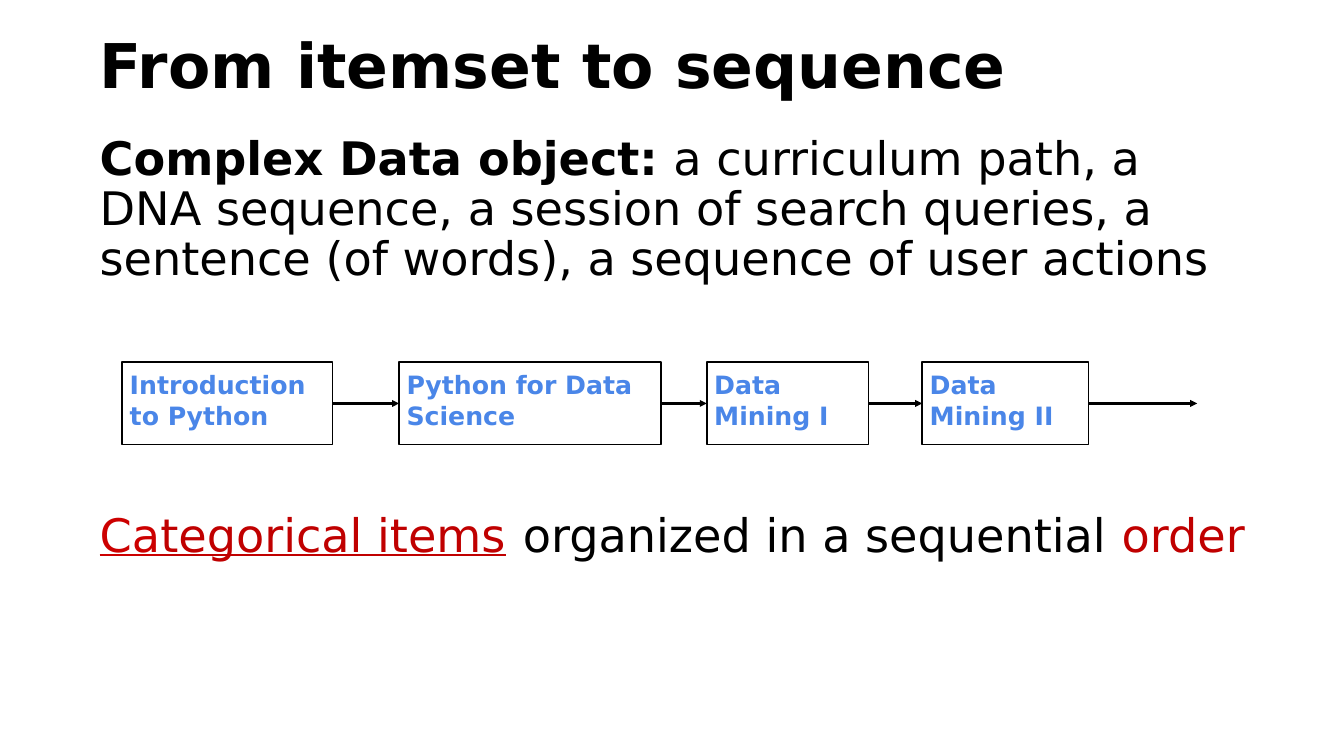
from dataclasses import dataclass

from lxml.etree import SubElement
from pptx import Presentation
from pptx.dml.color import RGBColor
from pptx.enum.shapes import MSO_CONNECTOR, MSO_SHAPE
from pptx.enum.text import MSO_ANCHOR, PP_ALIGN
from pptx.oxml.ns import qn
from pptx.util import Cm, Pt


@dataclass(frozen=True)
class Theme:
    font: str = "DejaVu Sans"
    black: RGBColor = RGBColor(0x00, 0x00, 0x00)
    blue: RGBColor = RGBColor(0x4A, 0x86, 0xE8)
    red: RGBColor = RGBColor(0xC0, 0x00, 0x00)
    bright_red: RGBColor = RGBColor(0xCC, 0x00, 0x00)
    title_size: float = 58.7
    body_size: float = 44
    step_size: float = 24
    box_line: float = 1.5
    arrow_line: float = 2.25
    inset: float = 0.25
    line_spacing: float = 0.9


THEME = Theme()
RIGHT_SIDE, LEFT_SIDE = 3, 1

# Course name, left edge within the chain, width (cm)
COURSES = [
    ("Introduction to Python", 0, 7.06),
    ("Python for Data Science", 9.3, 8.81),
    ("Data Mining I", 19.64, 5.44),
    ("Data Mining II", 26.88, 5.59),
]


def set_frame(frame, vertical_inset=THEME.inset, anchor=MSO_ANCHOR.TOP):
    frame.word_wrap = True
    frame.vertical_anchor = anchor
    frame.margin_left = frame.margin_right = Cm(THEME.inset)
    frame.margin_top = frame.margin_bottom = Cm(vertical_inset)


def add_span(para, text, size, color=THEME.black, bold=False, underline=False):
    span = para.add_run()
    span.text = text
    span.font.name = THEME.font
    span.font.size = Pt(size)
    span.font.color.rgb = color
    span.font.bold = bold
    span.font.underline = underline


def add_text(page, left, top, width, height, **frame_options):
    """Add a text box and return its first paragraph."""
    box = page.shapes.add_textbox(Cm(left), Cm(top), Cm(width), Cm(height))
    set_frame(box.text_frame, **frame_options)
    para = box.text_frame.paragraphs[0]
    para.line_spacing = THEME.line_spacing
    return para


def add_title(page, left, top, width, height):
    para = add_text(page, left, top, width, height,
                    vertical_inset=0.13, anchor=MSO_ANCHOR.MIDDLE)
    add_span(para, "From itemset to sequence", THEME.title_size, bold=True)


def add_definition(page, left, top, width, height):
    para = add_text(page, left, top, width, height, vertical_inset=0.13)
    add_span(para, "Complex Data object:", THEME.body_size, bold=True)
    add_span(para, " a curriculum path, a DNA sequence, a session of search queries, "
                   "a sentence (of words), a sequence of user actions", THEME.body_size)


def add_course(page, name, left, top, width, height):
    box = page.shapes.add_shape(MSO_SHAPE.RECTANGLE, Cm(left), Cm(top), Cm(width), Cm(height))
    box.shadow.inherit = False
    box.fill.background()
    box.line.color.rgb = THEME.black
    box.line.width = Pt(THEME.box_line)
    set_frame(box.text_frame)
    para = box.text_frame.paragraphs[0]
    para.alignment = PP_ALIGN.LEFT
    add_span(para, name, THEME.step_size, THEME.blue, bold=True)
    return box


def add_arrow(page, source, target=None, end_x=None):
    """Point from the source box to the target box, or to end_x if there is none."""
    middle = source.top + source.height // 2
    end = target.left if target is not None else end_x
    arrow = page.shapes.add_connector(
        MSO_CONNECTOR.STRAIGHT, source.left + source.width, middle, end, middle)
    arrow.begin_connect(source, RIGHT_SIDE)
    if target is not None:
        arrow.end_connect(target, LEFT_SIDE)
    arrow.line.color.rgb = THEME.black
    arrow.line.width = Pt(THEME.arrow_line)
    SubElement(arrow.line._get_or_add_ln(), qn("a:tailEnd"), type="triangle")
    SubElement(arrow._element.spPr, qn("a:effectLst"))


def add_course_chain(page, left, top, width, height):
    boxes = [add_course(page, name, left + offset, top, box_width, height)
             for name, offset, box_width in COURSES]
    for source, target in zip(boxes, boxes[1:]):
        add_arrow(page, source, target)
    add_arrow(page, boxes[-1], end_x=Cm(left + width))


def add_summary(page, left, top, width, height):
    items_width = 14.22
    para = add_text(page, left, top, items_width, height)
    add_span(para, "Ca", THEME.body_size, THEME.bright_red, underline=True)
    add_span(para, "tegorical items", THEME.body_size, THEME.red, underline=True)
    add_span(para, " ", THEME.body_size)

    para = add_text(page, left + items_width, top, width - items_width, height)
    add_span(para, "organized in a sequential ", THEME.body_size)
    add_span(para, "order", THEME.body_size, THEME.red)


def main():
    deck = Presentation()
    deck.slide_width, deck.slide_height = Cm(45.16), Cm(25.4)
    page = deck.slides.add_slide(deck.slide_layouts[6])
    add_title(page, 3.1, 0.91, 38.94, 2.77)
    add_definition(page, 3.1, 4.42, 38.94, 6.38)
    add_course_chain(page, 4.11, 12.17, 36.12, 2.77)
    add_summary(page, 3.1, 16.98, 39.83, 2.77)
    deck.save("out.pptx")


if __name__ == "__main__":
    main()
